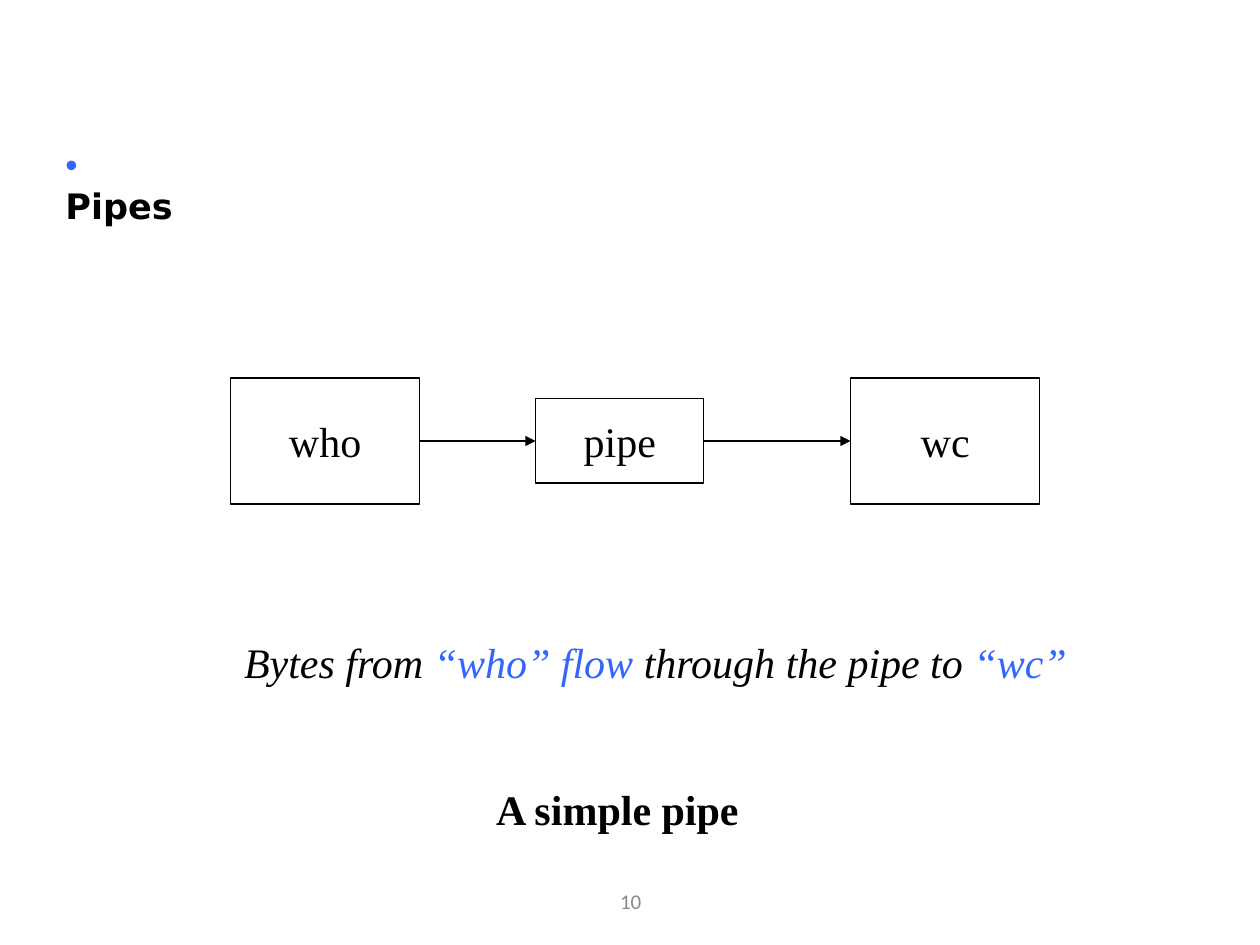
"""Build the slide that shows a simple pipe from who to wc."""
from itertools import pairwise

from lxml.etree import SubElement
from pptx import Presentation
from pptx.dml.color import RGBColor
from pptx.enum.shapes import MSO_CONNECTOR as Link, MSO_SHAPE as Shape
from pptx.enum.text import MSO_ANCHOR as Anchor, PP_ALIGN as Align
from pptx.oxml.ns import qn
from pptx.util import Cm, Pt

BLACK, BLUE, GREY = "000000", "3366FF", "898989"
SERIF = "Times New Roman"


def paint(font, name, size, color=BLACK, bold=False, slant=False):
    font.name, font.size = name, Pt(size)
    font.bold, font.italic = bold, slant
    font.color.rgb = RGBColor.from_string(color)


def write(place, parts, wrap=False):
    frame = slide.shapes.add_textbox(*map(Cm, place)).text_frame
    frame.word_wrap = wrap
    para = frame.paragraphs[0]
    for text, *style in parts:
        run = para.add_run()
        run.text = text
        paint(run.font, *style)
    return frame


deck = Presentation()
deck.slide_width, deck.slide_height = Cm(25.4), Cm(19.05)
slide = deck.slides.add_slide(deck.slide_layouts[6])

write((1.07, 2.74, 3.05, 1.12),
      [("• ", "Arial", 20, BLUE), ("Pipes", "DejaVu Sans", 20, BLACK, True)],
      wrap=True)

mid = 8.89
boxes = []
for label, left, width, height in [("who", 4.65, 3.81, 2.54),
                                   ("pipe", 10.8, 3.39, 1.7),
                                   ("wc", 17.15, 3.81, 2.54)]:
    box = slide.shapes.add_shape(Shape.RECTANGLE, Cm(left), Cm(mid - height / 2),
                                 Cm(width), Cm(height))
    box.shadow.inherit = False
    box.fill.background()
    box.line.color.rgb = RGBColor.from_string(BLACK)
    box.line.width = Pt(0.75)
    frame = box.text_frame
    frame.text = label
    frame.vertical_anchor = Anchor.MIDDLE
    para = frame.paragraphs[0]
    para.alignment = Align.CENTER
    paint(para.runs[0].font, SERIF, 24)
    boxes.append(box)

for start, end in pairwise(boxes):
    arrow = slide.shapes.add_connector(Link.STRAIGHT, 0, 0, 0, 0)
    arrow.begin_connect(start, 3)
    arrow.end_connect(end, 1)
    arrow.line.color.rgb = RGBColor.from_string(BLACK)
    arrow.line.width = Pt(0.75)
    SubElement(arrow.line._get_or_add_ln(), qn("a:tailEnd"), type="triangle")
    SubElement(arrow._element.spPr, qn("a:effectLst"))

write((4.67, 12.7, 17.15, 1.27),
      [(text, SERIF, 24, color, False, True) for text, color in [
          ("Bytes from ", BLACK), ("“who” flow", BLUE),
          (" through the pipe to ", BLACK), ("“wc”", BLUE)]])
write((9.75, 15.67, 5.44, 1.27), [("A simple pipe", SERIF, 24, BLACK, True)])

foot = write((8.69, 17.65, 8.05, 1.02), [("10", "Calibri", 12, GREY)], wrap=True)
foot.vertical_anchor = Anchor.MIDDLE
foot.paragraphs[0].alignment = Align.CENTER

deck.save("out.pptx")
